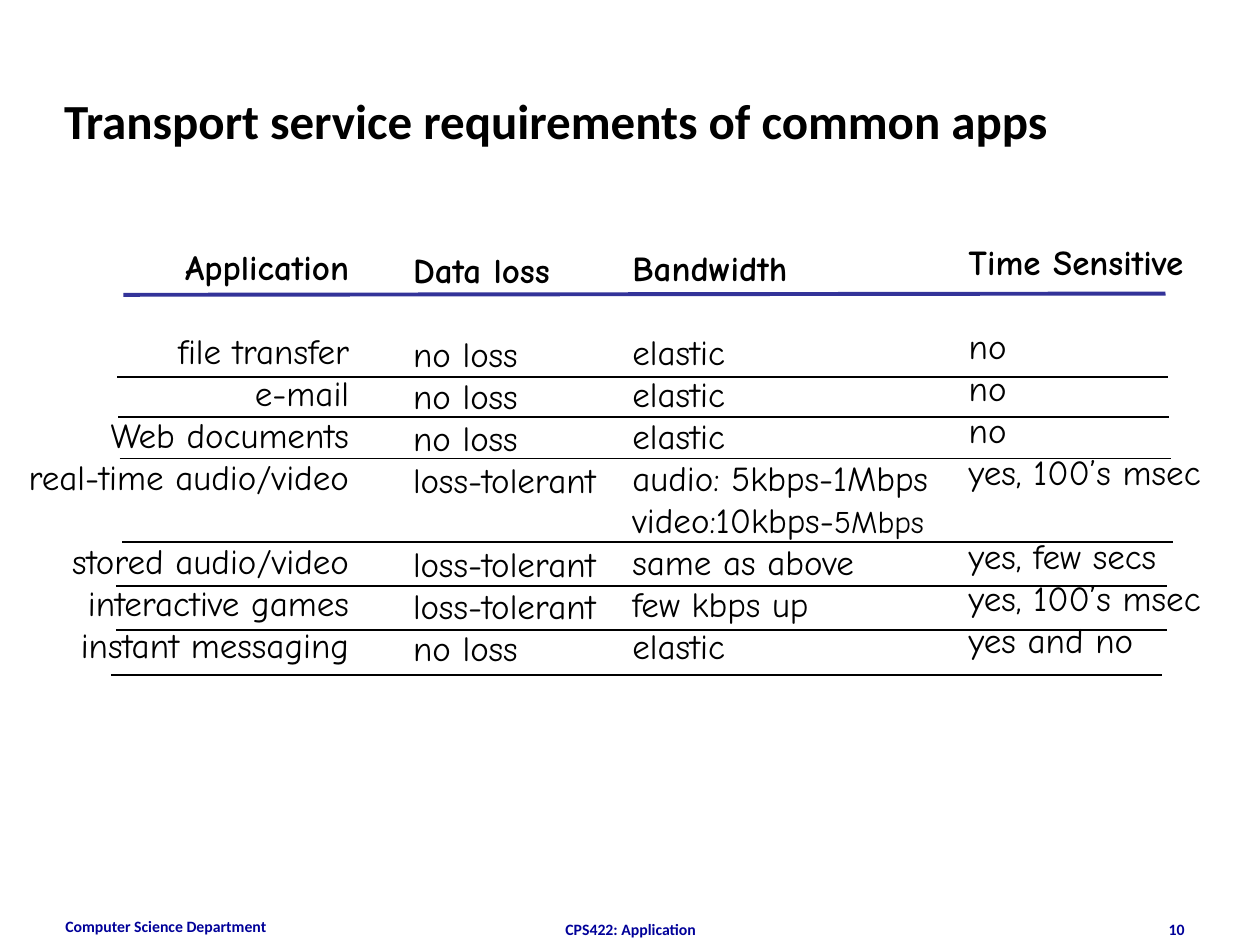
"""Build a slide listing the transport service requirements of common apps."""
from dataclasses import dataclass

from lxml.etree import SubElement
from pptx import Presentation
from pptx.dml.color import RGBColor
from pptx.enum.shapes import MSO_CONNECTOR
from pptx.enum.text import MSO_ANCHOR, PP_ALIGN
from pptx.oxml.ns import qn
from pptx.util import Inches, Pt


@dataclass(frozen=True)
class Theme:
    ink: str = "000000"
    footer: str = "000099"
    rule: str = "333399"
    title_font: str = "Calibri"
    body_font: str = "Comic Neue"
    title_size: int = 28
    body_size: int = 20
    small_size: int = 18
    footer_size: int = 9
    row_pitch: int = 24
    head_rule: float = 2.25
    row_rule: float = 1


T = Theme()
LEFT, CENTER, RIGHT = PP_ALIGN.LEFT, PP_ALIGN.CENTER, PP_ALIGN.RIGHT
TITLE = "Transport service requirements of common apps"
HEADERS = ["Application", "Data loss", "Bandwidth", "Time Sensitive"]
ROWS = [
    ("file transfer", "no loss", "elastic", "no"),
    ("e-mail", "no loss", "elastic", "no"),
    ("Web documents", "no loss", "elastic", "no"),
    ("real-time audio/video", "loss-tolerant", "audio: 5kbps-1Mbps", "yes, 100’s msec"),
    ("", "", "video:10kbps-|5Mbps", ""),
    ("stored audio/video", "loss-tolerant", "same as above", "yes, few secs"),
    ("interactive games", "loss-tolerant", "few kbps up", "yes, 100’s msec"),
    ("instant messaging", "no loss", "elastic", "yes and no"),
]
COLUMNS = [
    (0.12, 1.9, 2.75, RIGHT, False),
    (3.18, 1.92, 1.66, LEFT, False),
    (4.92, 1.91, 3.08, LEFT, True),
    (7.59, 1.86, 2.26, LEFT, True),
]
COLUMN_HEIGHT = 3.44
HEAD_RULE = (0.98, 2.34, 9.25, 2.33)
ROW_RULES = [(0.93, 2.99), (0.94, 3.31), (0.95, 3.64), (0.97, 4.3),
             (0.92, 4.65), (0.92, 5), (0.88, 5.36)]
RULE_WIDTH = 8.34
FOOTERS = [
    ("Computer Science Department", (0.42, 7.23, 2.33, 0.27), LEFT),
    ("CPS422: Application", (3.42, 7.25, 3.17, 0.1), CENTER),
    ("10", (7.17, 7.25, 2.33, 0.1), RIGHT),
]


def style(r, size, font, color, bold):
    r.font.size = Pt(size)
    r.font.name = font
    r.font.bold = bold
    r.font.color.rgb = RGBColor.from_string(color)


def add_box(s, box, wrap=True):
    tf = s.shapes.add_textbox(*map(Inches, box)).text_frame
    tf.word_wrap = wrap
    return tf


def add_title(s):
    sp = s.shapes.title
    sp.left, sp.top, sp.width, sp.height = map(Inches, (0.41, 0.33, 8.97, 1.25))
    tf = sp.text_frame
    tf.text = TITLE
    tf.vertical_anchor = MSO_ANCHOR.MIDDLE
    p = tf.paragraphs[0]
    p.alignment = LEFT
    style(p.runs[0], T.title_size, T.title_font, T.ink, True)


def add_column(s, header, cells, column):
    left, top, width, align, wrap = column
    tf = add_box(s, (left, top, width, COLUMN_HEIGHT), wrap)
    gap = 0
    for i, text in enumerate([header, "", *cells]):
        if not text:
            gap += T.row_pitch
            continue
        p = tf.add_paragraph() if i else tf.paragraphs[0]
        p.alignment = align
        if gap:
            p.space_before = Pt(gap)
        gap = 0
        for j, part in enumerate(text.split("|")):
            r = p.add_run()
            r.text = part
            style(r, T.small_size if j else T.body_size, T.body_font, T.ink, i == 0)


def add_rule(s, ends, color, width):
    line = s.shapes.add_connector(MSO_CONNECTOR.STRAIGHT, *map(Inches, ends))
    line.line.color.rgb = RGBColor.from_string(color)
    line.line.width = Pt(width)
    SubElement(line._element.spPr, qn("a:effectLst"))


def add_footer(s, text, box, align):
    tf = add_box(s, box)
    tf.text = text
    p = tf.paragraphs[0]
    p.alignment = align
    style(p.runs[0], T.footer_size, T.title_font, T.footer, True)


def main():
    prs = Presentation()
    prs.slide_width, prs.slide_height = Inches(10), Inches(7.5)
    s = prs.slides.add_slide(prs.slide_layouts[5])
    for footer in FOOTERS:
        add_footer(s, *footer)
    add_title(s)
    for header, cells, column in zip(HEADERS, zip(*ROWS), COLUMNS):
        add_column(s, header, cells, column)
    add_rule(s, HEAD_RULE, T.rule, T.head_rule)
    for x, y in ROW_RULES:
        add_rule(s, (x, y, x + RULE_WIDTH, y), T.ink, T.row_rule)
    prs.save("out.pptx")


if __name__ == "__main__":
    main()
